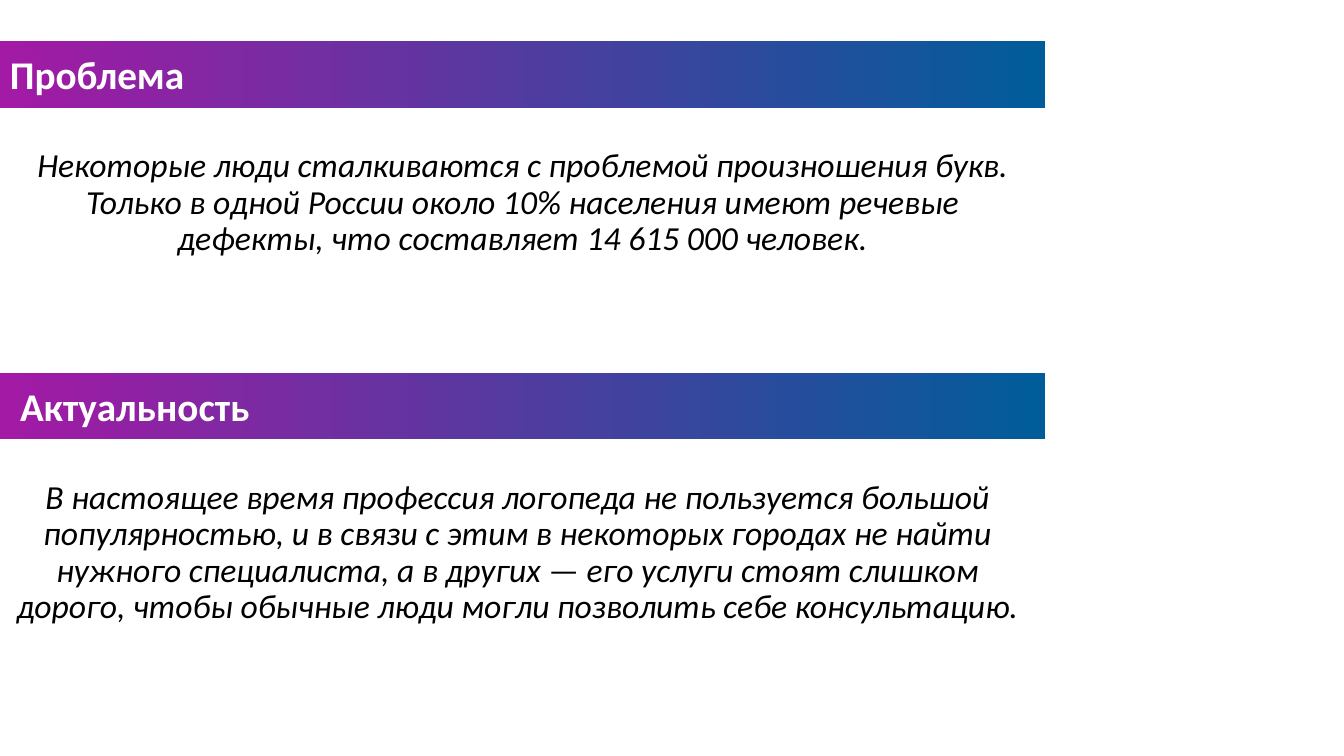
import pptx
import pptx.dml.color
import pptx.enum.shapes
import pptx.enum.text
import pptx.util

Pt = pptx.util.Pt
ALIGN = pptx.enum.text.PP_ALIGN
ANCHOR = pptx.enum.text.MSO_ANCHOR


def color(value):
    return pptx.dml.color.RGBColor.from_string(value)


class Page:
    font_name = "Calibri"
    bar_colors = ("A519A5", "005D9A")
    heading_color = "FFFFFF"
    body_color = "000000"

    def __init__(self, deck):
        self.slide = deck.slides.add_slide(deck.slide_layouts[6])

    def bar(self, left, top, width, height):
        bar = self.slide.shapes.add_shape(
            pptx.enum.shapes.MSO_SHAPE.RECTANGLE,
            Pt(left), Pt(top), Pt(width), Pt(height))
        bar.shadow.inherit = False
        bar.line.fill.background()
        bar.fill.gradient()
        bar.fill.gradient_angle = 0
        for stop, value, position in zip(bar.fill.gradient_stops, self.bar_colors, (0, 1)):
            stop.color.rgb = color(value)
            stop.position = position

    def text(self, text, left, top, width, height, size, value, anchor):
        box = self.slide.shapes.add_textbox(Pt(left), Pt(top), Pt(width), Pt(height))
        frame = box.text_frame
        frame.word_wrap = True
        frame.vertical_anchor = anchor
        para = frame.paragraphs[0]
        para.text = text
        para.font.name = self.font_name
        para.font.size = Pt(size)
        para.font.color.rgb = color(value)
        return para

    def heading(self, text, left, top):
        para = self.text(text, left, top, 470, 41, 28, self.heading_color, ANCHOR.TOP)
        para.font.bold = True

    def body(self, text, left, top, width, height):
        para = self.text(text, left, top, width, height, 24, self.body_color, ANCHOR.MIDDLE)
        para.font.italic = True
        para.alignment = ALIGN.CENTER
        para.line_spacing = 0.9


# Sections: bar top, heading and its left edge, body and its left edge and height
SECTIONS = [
    (29.5, "Проблема", 0,
     "Некоторые люди сталкиваются с проблемой произношения букв. "
     "Только в одной России около 10% населения имеют речевые дефекты, "
     "что составляет 14 615 000 человек.", 7.2, 81.4),
    (266.4, "Актуальность", 7.2,
     "В настоящее время профессия логопеда не пользуется большой популярностью, "
     "и в связи с этим в некоторых городах не найти нужного специалиста, "
     "а в других — его услуги стоят слишком дорого, чтобы обычные люди "
     "могли позволить себе консультацию.", 0, 92.2),
]
BODY_RIGHT = 739.4


def main():
    deck = pptx.Presentation()
    deck.slide_width, deck.slide_height = Pt(960), Pt(540)
    page = Page(deck)
    for top, heading, heading_left, body, body_left, body_height in SECTIONS:
        # Gradient bar with its heading
        page.bar(-9.4, top, 756, 47.5)
        page.heading(heading, heading_left, top + 3)
        # Body text below the bar
        page.body(body, body_left, top + 75 + (body_height - 81.4) * 0.7,
                  BODY_RIGHT - body_left, body_height)
    deck.save("out.pptx")


if __name__ == "__main__":
    main()
